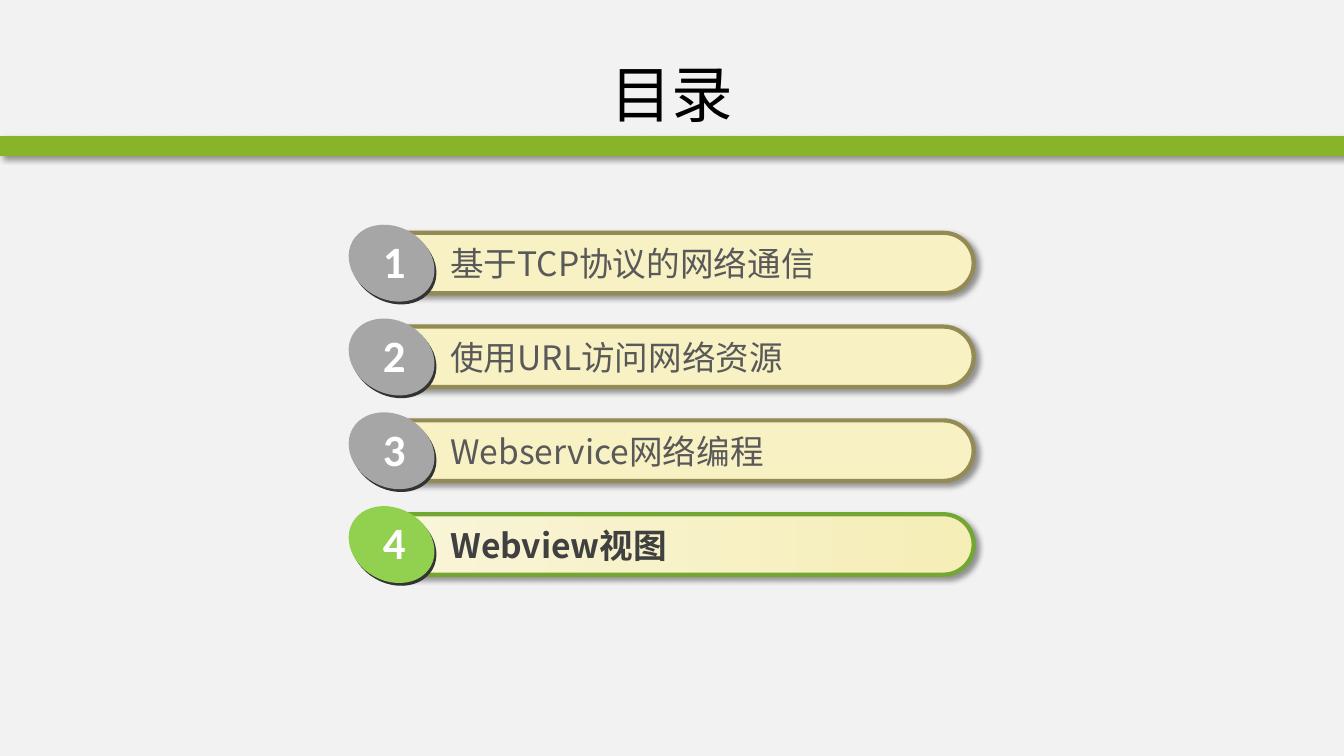
from dataclasses import dataclass

from lxml.etree import SubElement
from pptx import Presentation
from pptx.dml.color import RGBColor
from pptx.enum.shapes import MSO_SHAPE
from pptx.enum.text import MSO_ANCHOR, PP_ALIGN
from pptx.oxml.ns import qn
from pptx.shapes.autoshape import Shape
from pptx.slide import Slide
from pptx.util import Pt

COLORS = {
    "background": "F2F2F2", "band": "88B429", "title": "000000",
    "pill": "F7F1C4", "pill_border": "948A54", "text": "595959",
    "active_start": "F9F5D9", "active_end": "F5EEB7",
    "active_border": "74A731", "active_text": "404040",
    "badge": "A6A6A6", "active_badge": "92D050", "badge_edge": "333333",
    "number": "FFFFFF", "shadow": "000000",
}
CJK_FONT = "Noto Sans CJK SC"
NUMBER_FONT = "Calibri"
FIRST_ROW_TOP = 166.3
ROW_PITCH = 67


@dataclass(frozen=True)
class Box:
    left: float
    top: float
    width: float
    height: float


@dataclass(frozen=True)
class Entry:
    text: str
    active: bool = False


ENTRIES = [
    Entry("基于TCP协议的网络通信"),
    Entry("使用URL访问网络资源"),
    Entry("Webservice网络编程"),
    Entry("Webview视图", active=True),
]


def color(name: str) -> RGBColor:
    return RGBColor.from_string(COLORS[name])


def add_filled(page: Slide, kind: MSO_SHAPE, box: Box, fill: str) -> Shape:
    shape = page.shapes.add_shape(
        kind, Pt(box.left), Pt(box.top), Pt(box.width), Pt(box.height))
    shape.shadow.inherit = False
    shape.fill.solid()
    shape.fill.fore_color.rgb = color(fill)
    shape.line.fill.background()
    return shape


def cast_shadow(shape: Shape) -> None:
    """Add a soft shadow falling to the lower right."""
    effects = shape._element.spPr.find(qn("a:effectLst"))
    shadow = SubElement(effects, qn("a:outerShdw"), blurRad=str(Pt(4)),
                        dist=str(Pt(3)), dir="2700000", algn="tl", rotWithShape="0")
    tint = SubElement(shadow, qn("a:srgbClr"), val=COLORS["shadow"])
    SubElement(tint, qn("a:alpha"), val="40000")


def add_text(page: Slide, box: Box, text: str, size: float, font: str, ink: str,
             bold: bool = False, wrap: bool = True) -> Shape:
    shape = page.shapes.add_textbox(
        Pt(box.left), Pt(box.top), Pt(box.width), Pt(box.height))
    shape.text_frame.word_wrap = wrap
    para = shape.text_frame.paragraphs[0]
    para.text = text
    para.font.size = Pt(size)
    para.font.bold = bold
    para.font.color.rgb = color(ink)
    para.font.name = font
    defaults = para._p.pPr.find(qn("a:defRPr"))
    SubElement(defaults, qn("a:ea"), typeface=font)
    return shape


def add_header(page: Slide) -> None:
    cast_shadow(add_filled(page, MSO_SHAPE.RECTANGLE, Box(0, 97.2, 960, 14.4), "band"))
    title = add_text(page, Box(48, 21.6, 864, 90), "目录", 44, CJK_FONT, "title")
    title.text_frame.vertical_anchor = MSO_ANCHOR.MIDDLE
    title.text_frame.paragraphs[0].alignment = PP_ALIGN.CENTER


def add_pill(page: Slide, top: float, active: bool) -> None:
    pill = add_filled(page, MSO_SHAPE.ROUNDED_RECTANGLE, Box(263.5, top, 432, 43.2), "pill")
    pill.adjustments[0] = 0.5
    if active:
        pill.fill.gradient()
        pill.fill.gradient_angle = 0
        for stop, name in zip(pill.fill.gradient_stops, ("active_start", "active_end")):
            stop.color.rgb = color(name)
    pill.line.color.rgb = color("active_border" if active else "pill_border")
    pill.line.width = Pt(3)
    cast_shadow(pill)


def add_badge(page: Slide, top: float, number: int, active: bool) -> None:
    face = "active_badge" if active else "badge"
    for left, offset, fill in ((249.1, -2.2, "badge_edge"), (247.7, -4.2, face)):
        oval = add_filled(page, MSO_SHAPE.OVAL, Box(left, top + offset, 64, 51.8), fill)
        oval.rotation = 29.3
    add_text(page, Box(266.4, top - 2.9, 31, 46), str(number), 32, NUMBER_FONT,
             "number", bold=True, wrap=False)


def add_entry(page: Slide, index: int, entry: Entry) -> None:
    top = FIRST_ROW_TOP + index * ROW_PITCH
    add_pill(page, top, entry.active)
    add_text(page, Box(314.6, top + 3.8, 360, 36.4), entry.text, 24, CJK_FONT,
             "active_text" if entry.active else "text", bold=entry.active)
    add_badge(page, top, index + 1, entry.active)


def main() -> None:
    deck = Presentation()
    deck.slide_width, deck.slide_height = Pt(960), Pt(540)
    page = deck.slides.add_slide(deck.slide_layouts[6])
    page.background.fill.solid()
    page.background.fill.fore_color.rgb = color("background")
    add_header(page)
    for index, entry in enumerate(ENTRIES):
        add_entry(page, index, entry)
    deck.save("out.pptx")


if __name__ == "__main__":
    main()
